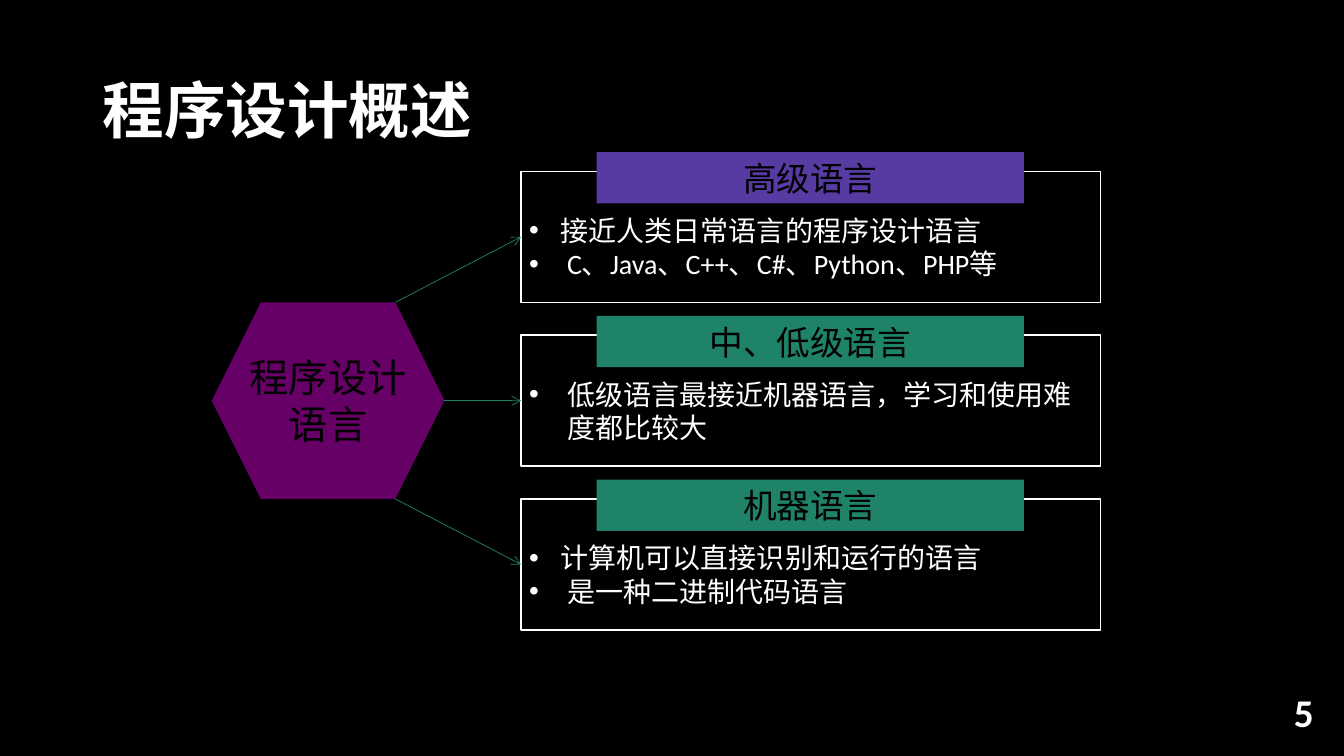
from lxml import etree
from pptx import Presentation
from pptx.dml.color import RGBColor
from pptx.enum.shapes import MSO_CONNECTOR, MSO_SHAPE
from pptx.enum.text import MSO_ANCHOR, PP_ALIGN
from pptx.oxml.ns import qn
from pptx.util import Pt

RECTANGLE, HEXAGON = MSO_SHAPE.RECTANGLE, MSO_SHAPE.HEXAGON
STRAIGHT = MSO_CONNECTOR.STRAIGHT
MIDDLE = MSO_ANCHOR.MIDDLE
LEFT, CENTER, RIGHT = PP_ALIGN.LEFT, PP_ALIGN.CENTER, PP_ALIGN.RIGHT

BLACK = RGBColor(0x00, 0x00, 0x00)
WHITE = RGBColor(0xFF, 0xFF, 0xFF)
PURPLE = RGBColor(0x57, 0x3A, 0xA2)
GREEN = RGBColor(0x1F, 0x83, 0x69)
PLUM = RGBColor(0x66, 0x00, 0x66)
LATIN_FONT, CHINESE_FONT = "Calibri", "Noto Sans CJK SC"

BOX_LEFT, BOX_TOP, BOX_WIDTH, BOX_HEIGHT, BOX_PITCH = 372.2, 122.4, 414, 93.6, 117
HEADER_INDENT, HEADER_RISE, HEADER_WIDTH, HEADER_HEIGHT = 54, 13.8, 305.3, 36.7
HEX_LEFT, HEX_TOP, HEX_WIDTH, HEX_HEIGHT = 151.2, 216, 166.3, 140.4
NARROW, WIDE = 22.5, 27  # bullet indents

# Header, header colour, bullets with their indents
LEVELS = [
    ("高级语言", PURPLE, [("接近人类日常语言的程序设计语言", NARROW),
                      ("C、Java、C++、C#、Python、PHP等", WIDE)]),
    ("中、低级语言", GREEN, [("低级语言最接近机器语言，学习和使用难度都比较大", WIDE)]),
    ("机器语言", GREEN, [("计算机可以直接识别和运行的语言", NARROW),
                     ("是一种二进制代码语言", WIDE)]),
]


class SlideBuilder:
    def __init__(self, slide, background):
        self.slide = slide
        slide.background.fill.solid()
        slide.background.fill.fore_color.rgb = background

    def set_text(self, shape, lines, size, color, font=CHINESE_FONT, align=LEFT,
                 bold=False, insets=(7.2, 3.6, 7.2, 3.6), indents=(), spacing=None):
        frame = shape.text_frame
        frame.word_wrap = True
        frame.vertical_anchor = MIDDLE
        (frame.margin_left, frame.margin_top,
         frame.margin_right, frame.margin_bottom) = map(Pt, insets)
        frame.text = "\n".join(lines)
        for number, paragraph in enumerate(frame.paragraphs):
            if indents:
                self.bullet(paragraph, indents[number])
            paragraph.alignment = align
            if spacing:
                paragraph.line_spacing = spacing
            paragraph.font.size = Pt(size)
            paragraph.font.bold = bold
            paragraph.font.color.rgb = color
            paragraph.font.name = font
            defaults = paragraph._p.pPr.find(qn("a:defRPr"))
            etree.SubElement(defaults, qn("a:ea"), typeface=CHINESE_FONT)

    def bullet(self, paragraph, indent):
        properties = paragraph._p.get_or_add_pPr()
        properties.set("marL", str(Pt(indent)))
        properties.set("indent", str(-Pt(indent)))
        etree.SubElement(properties, qn("a:buFont"), typeface="Arial")
        etree.SubElement(properties, qn("a:buChar"), char="•")

    def text(self, left, top, width, height, line, size, color, **style):
        box = self.slide.shapes.add_textbox(Pt(left), Pt(top), Pt(width), Pt(height))
        self.set_text(box, [line], size, color, **style)

    def shape(self, kind, left, top, width, height, fill=None, outline=None):
        shape = self.slide.shapes.add_shape(
            kind, Pt(left), Pt(top), Pt(width), Pt(height))
        shape.shadow.inherit = False
        if fill is None:
            shape.fill.background()
        else:
            shape.fill.solid()
            shape.fill.fore_color.rgb = fill
        if outline is None:
            shape.line.fill.background()
        else:
            shape.line.color.rgb = outline
            shape.line.width = Pt(1)
        return shape

    def arrow(self, start_x, start_y, target):
        arrow = self.slide.shapes.add_connector(
            STRAIGHT, Pt(start_x), Pt(start_y),
            target.left, target.top + target.height // 2)
        arrow.end_connect(target, 1)
        arrow.line.color.rgb = GREEN
        arrow.line.width = Pt(0.5)
        outline = arrow._element.spPr.find(qn("a:ln"))
        etree.SubElement(outline, qn("a:tailEnd"), type="arrow")
        etree.SubElement(arrow._element.spPr, qn("a:effectLst"))


def main():
    presentation = Presentation()
    presentation.slide_width, presentation.slide_height = Pt(960), Pt(540)
    slide = presentation.slides.add_slide(presentation.slide_layouts[6])
    builder = SlideBuilder(slide, BLACK)

    # Title
    builder.text(66.2, 28.8, 828, 104.4, "程序设计概述", 44, WHITE,
                 bold=True, spacing=0.9)

    # Central topic
    topic = builder.shape(HEXAGON, HEX_LEFT, HEX_TOP, HEX_WIDTH, HEX_HEIGHT, fill=PLUM)
    builder.set_text(topic, ["程序设计", "语言"], 28, BLACK, align=CENTER,
                     insets=(0, 3.6, 0, 3.6))

    # Language levels, each reached by an arrow from the right of the hexagon
    hex_right = HEX_LEFT + HEX_WIDTH
    hex_corner = hex_right - HEX_HEIGHT / 4
    arrow_starts = [(hex_corner, HEX_TOP),
                    (hex_right, HEX_TOP + HEX_HEIGHT / 2),
                    (hex_corner, HEX_TOP + HEX_HEIGHT)]
    for row, (name, color, points) in enumerate(LEVELS):
        top = BOX_TOP + row * BOX_PITCH
        details = builder.shape(RECTANGLE, BOX_LEFT, top, BOX_WIDTH, BOX_HEIGHT,
                                outline=WHITE)
        lines, indents = zip(*points)
        builder.set_text(details, lines, 20, WHITE, font=LATIN_FONT,
                         insets=(5.8, 17.3, 5.8, 2.9), indents=indents)
        header = builder.shape(RECTANGLE, BOX_LEFT + HEADER_INDENT, top - HEADER_RISE,
                               HEADER_WIDTH, HEADER_HEIGHT, fill=color)
        builder.set_text(header, [name], 24, BLACK, align=CENTER,
                         insets=(5.8, 2.9, 5.8, 2.9))
        builder.arrow(*arrow_starts[row], details)

    # Page number
    builder.text(729.4, 493.9, 216, 28.8, "5", 28, WHITE, font=LATIN_FONT,
                 align=RIGHT, bold=True)

    presentation.save("out.pptx")


if __name__ == "__main__":
    main()
